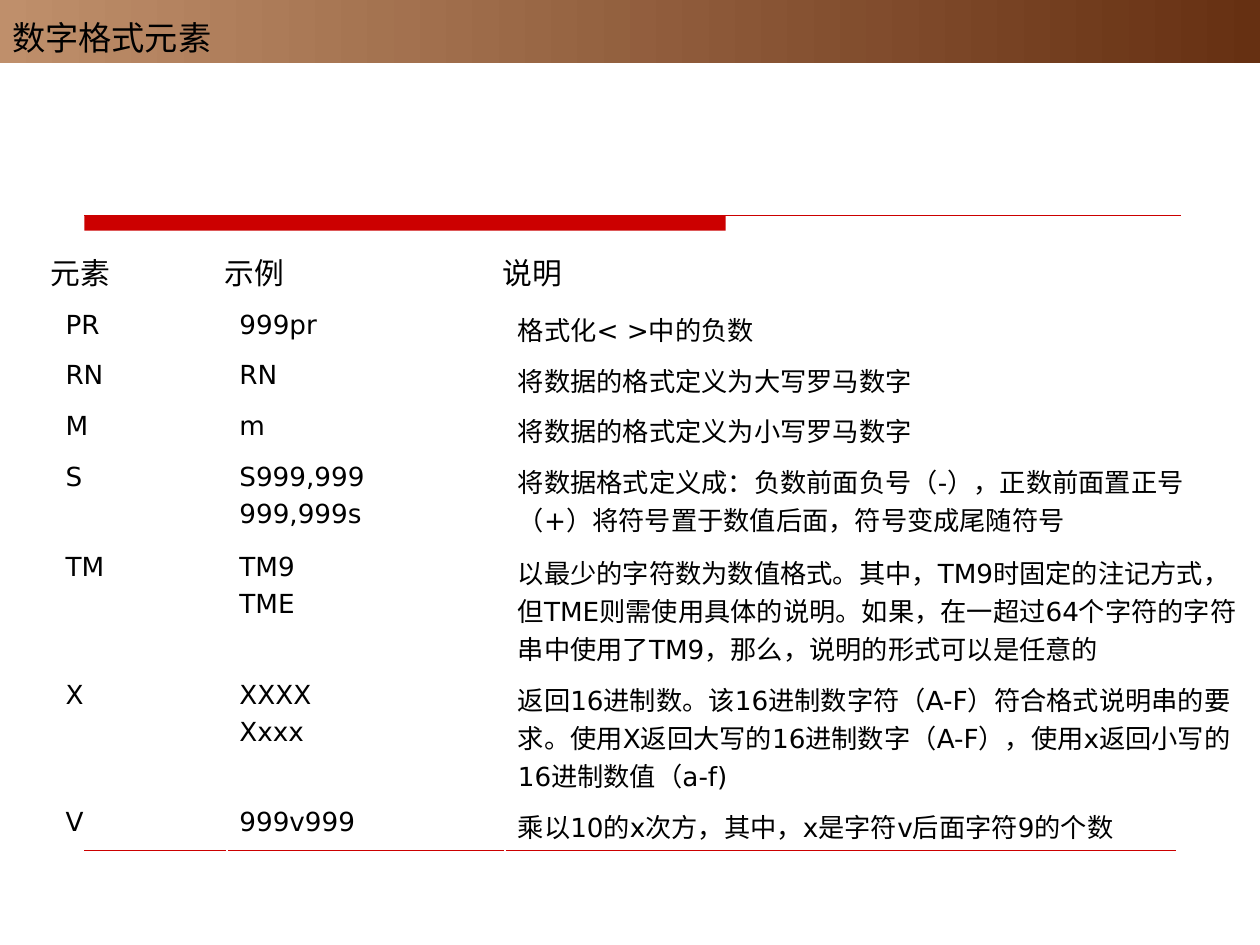
from lxml.etree import SubElement
from pptx import Presentation
from pptx.dml.color import RGBColor
from pptx.enum.shapes import MSO_CONNECTOR as Connector, MSO_SHAPE as Shape
from pptx.enum.text import MSO_ANCHOR as Anchor, PP_ALIGN as Align
from pptx.oxml import parse_xml
from pptx.oxml.ns import nsdecls, qn
from pptx.util import Inches, Pt

BLACK = RGBColor(0x00, 0x00, 0x00)
WHITE = RGBColor(0xFF, 0xFF, 0xFF)
RED = RGBColor(0xCC, 0x00, 0x00)
TAN = RGBColor(0xBF, 0x8F, 0x6B)
BROWN = RGBColor(0x66, 0x30, 0x12)

COLUMN_WIDTHS = [1.38, 2.21, 5.99]
HEADINGS = [("元素", "示例", "说明")]
ELEMENTS = [
    ("PR", "999pr", "格式化< >中的负数"),
    ("RN", "RN", "将数据的格式定义为大写罗马数字"),
    ("M", "m", "将数据的格式定义为小写罗马数字"),
    ("S", "S999,999\n999,999s",
     "将数据格式定义成：负数前面负号（-），正数前面置正号（+）将符号置于数值后面，符号变成尾随符号"),
    ("TM", "TM9\nTME",
     "以最少的字符数为数值格式。其中，TM9时固定的注记方式，但TME则需使用具体的说明。"
     "如果，在一超过64个字符的字符串中使用了TM9，那么，说明的形式可以是任意的"),
    ("X", "XXXX\nXxxx",
     "返回16进制数。该16进制数字符（A-F）符合格式说明串的要求。"
     "使用X返回大写的16进制数字（A-F），使用x返回小写的16进制数值（a-f)"),
    ("V", "999v999", "乘以10的x次方，其中，x是字符v后面字符9的个数"),
]
ELEMENT_HEIGHTS = [0.4, 0.4, 0.4, 0.72, 1.01, 1.01, 0.4]


def add_span(para, text, size, font_name):
    span = para.add_run()
    span.text = text
    span.font.size = Pt(size)
    span.font.name = font_name
    span.font.color.rgb = BLACK


def add_bar(slide, left, top, width, height):
    bar = slide.shapes.add_shape(
        Shape.RECTANGLE, Inches(left), Inches(top), Inches(width), Inches(height))
    bar.shadow.inherit = False
    bar.line.fill.background()
    return bar


def add_title(slide, text):
    banner = add_bar(slide, 0, 0, 10, 0.5)
    banner.fill.gradient()
    banner.fill.gradient_angle = 0
    for stop, color in zip(banner.fill.gradient_stops, (TAN, BROWN)):
        stop.color.rgb = color
    frame = banner.text_frame
    frame.word_wrap = True
    frame.vertical_anchor = Anchor.BOTTOM
    para = frame.paragraphs[0]
    para.alignment = Align.LEFT
    add_span(para, text, 19, "Arial")


def add_rule(slide, left, right, top, weight):
    rule = slide.shapes.add_connector(
        Connector.STRAIGHT, Inches(left), Inches(top), Inches(right), Inches(top))
    rule.line.color.rgb = RED
    rule.line.width = Pt(weight)
    SubElement(rule._element.spPr, qn("a:effectLst"))


def set_borders(cell):
    properties = cell._tc.get_or_add_tcPr()
    for index, side in enumerate(("lnT", "lnB")):
        properties.insert(index, parse_xml(
            f'<a:{side} {nsdecls("a")} w="{Pt(0.45)}"><a:solidFill>'
            f'<a:srgbClr val="{WHITE}"/></a:solidFill></a:{side}>'))


def fill_cell(cell, text, size, gap):
    cell.fill.background()
    set_borders(cell)
    frame = cell.text_frame
    for index, line in enumerate(text.split("\n")):
        para = frame.add_paragraph() if index else frame.paragraphs[0]
        if index:
            para.space_before = Pt(gap)
        add_span(para, line, size, "DejaVu Sans")


def add_grid(slide, left, top, rows, heights, size, gap):
    frame = slide.shapes.add_table(
        len(rows), len(COLUMN_WIDTHS), Inches(left), Inches(top),
        Inches(sum(COLUMN_WIDTHS)), Inches(sum(heights)))
    table = frame.table
    table.first_row = False
    table.horz_banding = False
    for column, width in zip(table.columns, COLUMN_WIDTHS):
        column.width = Inches(width)
    for row, height, texts in zip(table.rows, heights, rows):
        row.height = Inches(height)
        for cell, text in zip(row.cells, texts):
            fill_cell(cell, text, size, gap)


def main():
    deck = Presentation()
    deck.slide_width = Inches(10)
    deck.slide_height = Inches(7.5)
    slide = deck.slides.add_slide(deck.slide_layouts[6])
    accent = add_bar(slide, 0.67, 1.71, 5.09, 0.12)
    accent.fill.solid()
    accent.fill.fore_color.rgb = RED
    add_rule(slide, 0.67, 9.37, 1.71, 0.75)
    add_rule(slide, 0.67, 9.33, 6.75, 0.25)
    add_title(slide, "数字格式元素")
    add_grid(slide, 0.42, 2.41, ELEMENTS, ELEMENT_HEIGHTS, 15, 3.7)
    add_grid(slide, 0.3, 1.93, HEADINGS, [0.45], 17, 4.2)
    deck.save("out.pptx")


if __name__ == "__main__":
    main()
